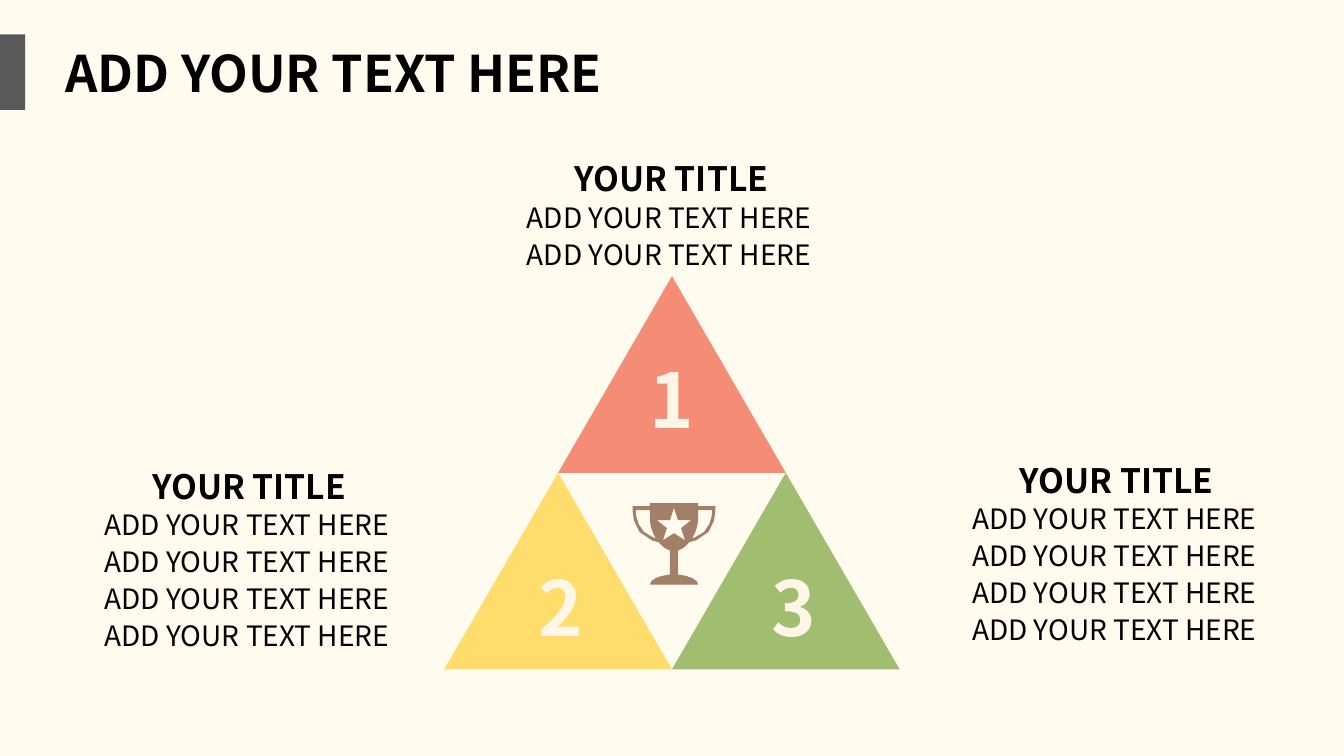
from pptx import Presentation
from pptx.dml.color import RGBColor
from pptx.enum.shapes import MSO_SHAPE as Shape
from pptx.enum.text import MSO_ANCHOR as Anchor, MSO_AUTO_SIZE as AutoSize, PP_ALIGN as Align
from pptx.util import Inches, Pt

FONT = "Noto Sans CJK SC"
COLORS = {
    "background": "FFFBEF", "text": "000000", "bar": "595959", "number": "FFF6E7",
    "coral": "F58D76", "yellow": "FFDD6C", "green": "A1BD70", "trophy": "A37F67",
}
LINE_PITCH = 0.367
CURVE_STEPS = 4

CUP_HALF = [
    (0, 0), (0.24, 0), (0.24, 0.03), (0.41, 0.03),
    (0.41, 0.03, 0.44, 0.3, 0.22, 0.37), (0.15, 0.39),
    (0.12, 0.43, 0.08, 0.46, 0.04, 0.47), (0.04, 0.71),
    (0.15, 0.72, 0.24, 0.76, 0.24, 0.81),
]
HANDLE_HOLE = [
    (0.24, 0.07), (0.38, 0.07), (0.38, 0.13, 0.36, 0.29, 0.21, 0.34),
    (0.18, 0.35), (0.22, 0.29, 0.24, 0.21, 0.24, 0.15),
]
STAR_HALF = [(0, 0.05), (0.04, 0.17), (0.17, 0.17), (0.07, 0.25), (0.11, 0.37), (0, 0.3)]


def color(name):
    """Return the named palette colour."""
    return RGBColor.from_string(COLORS[name])


def paint(shape, fill):
    """Give a shape a plain fill without line or shadow."""
    shape.fill.solid()
    shape.fill.fore_color.rgb = color(fill)
    shape.line.fill.background()
    shape.shadow.inherit = False


def write(shape, text, size, bold=False, fill="text"):
    """Put one unwrapped, left-aligned line of text into a shape."""
    frame = shape.text_frame
    frame.text = text
    frame.word_wrap = False
    frame.auto_size = AutoSize.SHAPE_TO_FIT_TEXT
    frame.vertical_anchor = Anchor.TOP
    paragraph = frame.paragraphs[0]
    paragraph.alignment = Align.LEFT
    font = paragraph.runs[0].font
    font.name, font.size, font.bold = FONT, Pt(size), bold
    font.color.rgb = color(fill)


def add_text_box(slide, left, top, width, height):
    """Add an empty text box."""
    return slide.shapes.add_textbox(Inches(left), Inches(top), Inches(width), Inches(height))


def add_header(slide, left, top, width, height):
    """Place the side bar and the slide title beside it."""
    bar = slide.shapes.add_shape(
        Shape.RECTANGLE, Inches(left), Inches(top), Inches(0.25), Inches(height))
    paint(bar, "bar")
    title = slide.shapes.title
    title.left, title.top = Inches(left + 0.55), Inches(top + 0.03)
    title.width, title.height = Inches(width - 0.55), Inches(0.7)
    write(title, "ADD YOUR TEXT HERE", 36, bold=True)


def add_caption(slide, left, top, width, line_count):
    """Place a bold heading above a number of text lines."""
    heading_width = 2.12
    heading_left = left + (width - heading_width) / 2
    heading = add_text_box(slide, heading_left, top, heading_width, 0.5)
    write(heading, "YOUR TITLE", 24, bold=True)
    for index in range(line_count):
        line = add_text_box(slide, left, top + 0.42 + index * LINE_PITCH, width, 0.44)
        write(line, "ADD YOUR TEXT HERE", 20)


def trace(segments):
    """Turn corners and cubic curves into a list of points."""
    points = []
    for segment in segments:
        if len(segment) == 2:
            points.append(segment)
            continue
        controls = [points[-1], segment[:2], segment[2:4], segment[4:]]
        for step in range(1, CURVE_STEPS + 1):
            t = step / CURVE_STEPS
            weights = ((1 - t) ** 3, 3 * t * (1 - t) ** 2, 3 * t ** 2 * (1 - t), t ** 3)
            points.append(tuple(
                sum(weight * control[axis] for weight, control in zip(weights, controls))
                for axis in (0, 1)))
    return points


def mirror(points):
    """Reflect points across the vertical axis, in reverse order."""
    return [(-x, y) for x, y in reversed(points)]


def add_trophy(slide, center, top):
    """Draw the cup with open handles and a cut-out star."""
    cup, hole = trace(CUP_HALF), trace(HANDLE_HOLE)
    contours = [
        cup + mirror(cup[1:]), hole, mirror(hole), STAR_HALF + mirror(STAR_HALF[1:-1])]
    builder = None
    for contour in contours:
        points = [(Inches(center + x), Inches(top + y)) for x, y in contour]
        if builder is None:
            builder = slide.shapes.build_freeform(*points[0])
        else:
            builder.move_to(*points[0])
        builder.add_line_segments(points[1:], close=True)
    paint(builder.convert_to_shape(), "trophy")


def add_pyramid(slide, left, top, width, height):
    """Place three numbered triangles around the trophy."""
    side, rise = width / 2, height / 2
    parts = [
        ("1", "coral", side / 2, 0, 0.81, 0.71),
        ("2", "yellow", 0, rise, 0.84, 0.83),
        ("3", "green", side, rise, 0.89, 0.83),
    ]
    for number, fill, x, y, number_x, number_y in parts:
        triangle = slide.shapes.add_shape(
            Shape.ISOSCELES_TRIANGLE, Inches(left + x), Inches(top + y),
            Inches(side), Inches(rise))
        paint(triangle, fill)
        box = add_text_box(slide, left + x + number_x, top + y + number_y, 0.63, 1)
        write(box, number, 54, bold=True, fill="number")
    add_trophy(slide, left + side + 0.02, top + rise + 0.3)


def main():
    """Build and save the slide."""
    presentation = Presentation()
    presentation.slide_width, presentation.slide_height = Inches(13.34), Inches(7.5)
    slide = presentation.slides.add_slide(presentation.slide_layouts[5])
    slide.background.fill.solid()
    slide.background.fill.fore_color.rgb = color("background")
    add_pyramid(slide, 4.41, 2.74, 4.52, 3.9)
    for left, top, line_count in [(0.94, 4.57, 4), (9.55, 4.51, 4), (5.13, 1.52, 2)]:
        add_caption(slide, left, top, 3.07, line_count)
    add_header(slide, 0, 0.34, 6.11, 0.75)
    presentation.save("out.pptx")


if __name__ == "__main__":
    main()
